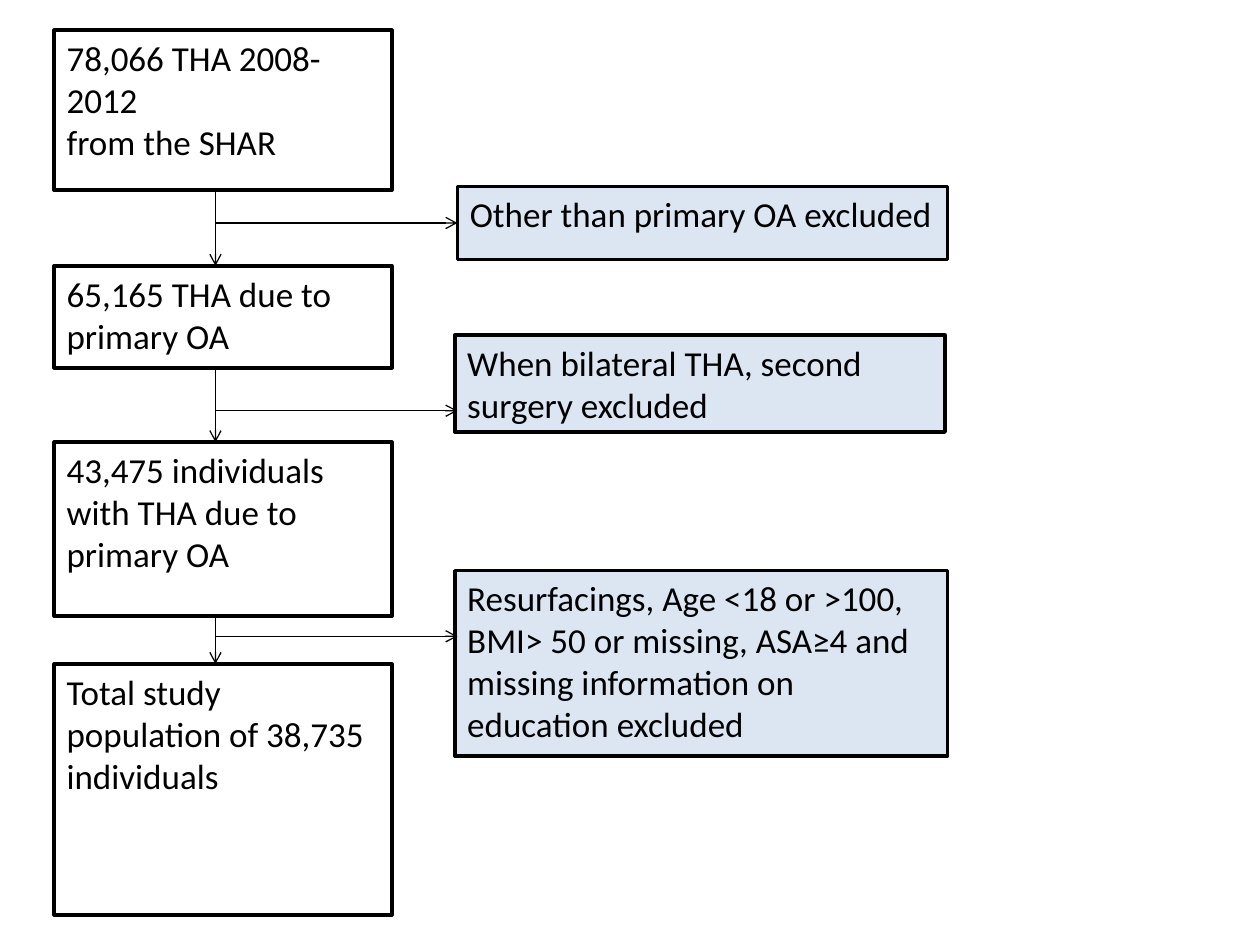
from dataclasses import dataclass

from lxml import etree
from pptx import Presentation
from pptx.dml.color import RGBColor
from pptx.enum.shapes import MSO_CONNECTOR, MSO_SHAPE
from pptx.enum.text import MSO_ANCHOR, PP_ALIGN
from pptx.oxml.ns import qn
from pptx.util import Inches, Pt

PROCESS = MSO_SHAPE.FLOWCHART_PROCESS
RECTANGLE = MSO_SHAPE.RECTANGLE
STRAIGHT = MSO_CONNECTOR.STRAIGHT
TOP = MSO_ANCHOR.TOP
LEFT = PP_ALIGN.LEFT


@dataclass(frozen=True)
class Theme:
    font: str = "Calibri"
    text_size: float = 20
    ink: RGBColor = RGBColor(0, 0, 0)
    cohort_fill: RGBColor = RGBColor(255, 255, 255)
    exclusion_fill: RGBColor = RGBColor(0xDC, 0xE6, 0xF2)
    border_width: float = 2
    arrow_width: float = 0.75


THEME = Theme()

COHORTS = [
    (RECTANGLE, 0.24, 1.27, ["78,066 THA 2008-2012", "from the SHAR"]),
    (PROCESS, 2.11, 0.81, ["65,165 THA due to primary OA"]),
    (RECTANGLE, 3.51, 1.38, ["43,475 individuals with THA due to primary OA"]),
    (PROCESS, 5.27, 1.99, ["Total study population of 38,735 individuals"]),
]

EXCLUSIONS = [
    (PROCESS, 3.63, 1.48, 3.89, 0.58, 1.77, "Other than primary OA excluded"),
    (RECTANGLE, 3.61, 2.66, 3.89, 0.77, 3.26, "When bilateral THA, second surgery excluded"),
    (PROCESS, 3.61, 4.53, 3.91, 1.47, 5.05,
     "Resurfacings, Age <18 or >100, BMI> 50 or missing, ASA≥4 and "
     "missing information on education excluded"),
]


def write_text(text_frame, lines, size=THEME.text_size, color=THEME.ink):
    text_frame.word_wrap = True
    text_frame.vertical_anchor = TOP
    for index, line in enumerate(lines):
        paragraph = text_frame.paragraphs[0] if index == 0 else text_frame.add_paragraph()
        paragraph.alignment = LEFT
        run = paragraph.add_run()
        run.text = line
        run.font.name = THEME.font
        run.font.size = Pt(size)
        run.font.color.rgb = color


def add_box(slide, kind, left, top, width, height, lines, fill):
    shape = slide.shapes.add_shape(
        kind, Inches(left), Inches(top), Inches(width), Inches(height))
    shape.shadow.inherit = False
    shape.fill.solid()
    shape.fill.fore_color.rgb = fill
    shape.line.color.rgb = THEME.ink
    shape.line.width = Pt(THEME.border_width)
    write_text(shape.text_frame, lines)


def add_arrow(slide, start_x, start_y, end_x, end_y):
    arrow = slide.shapes.add_connector(
        STRAIGHT, Inches(start_x), Inches(start_y), Inches(end_x), Inches(end_y))
    arrow.line.color.rgb = THEME.ink
    arrow.line.width = Pt(THEME.arrow_width)
    etree.SubElement(arrow.line._get_or_add_ln(), qn("a:tailEnd"), type="arrow")
    etree.SubElement(arrow._element.spPr, qn("a:effectLst"))


def add_cohort_column(slide, left, width, stem_x):
    for kind, top, height, lines in COHORTS:
        add_box(slide, kind, left, top, width, height, lines, THEME.cohort_fill)
    for (_, top, height, _), (_, next_top, _, _) in zip(COHORTS, COHORTS[1:]):
        add_arrow(slide, stem_x, top + height, stem_x, next_top)


def add_exclusion_column(slide, stem_x, arrow_end):
    for kind, left, top, width, height, arrow_y, text in EXCLUSIONS:
        add_box(slide, kind, left, top, width, height, [text], THEME.exclusion_fill)
        add_arrow(slide, stem_x, arrow_y, arrow_end, arrow_y)


def build_flowchart(presentation):
    slide = presentation.slides.add_slide(presentation.slide_layouts[6])
    add_cohort_column(slide, left=0.43, width=2.68, stem_x=1.71)
    add_exclusion_column(slide, stem_x=1.71, arrow_end=3.63)


presentation = Presentation()
presentation.slide_width = Inches(10)
presentation.slide_height = Inches(7.5)
build_flowchart(presentation)
presentation.save("out.pptx")
